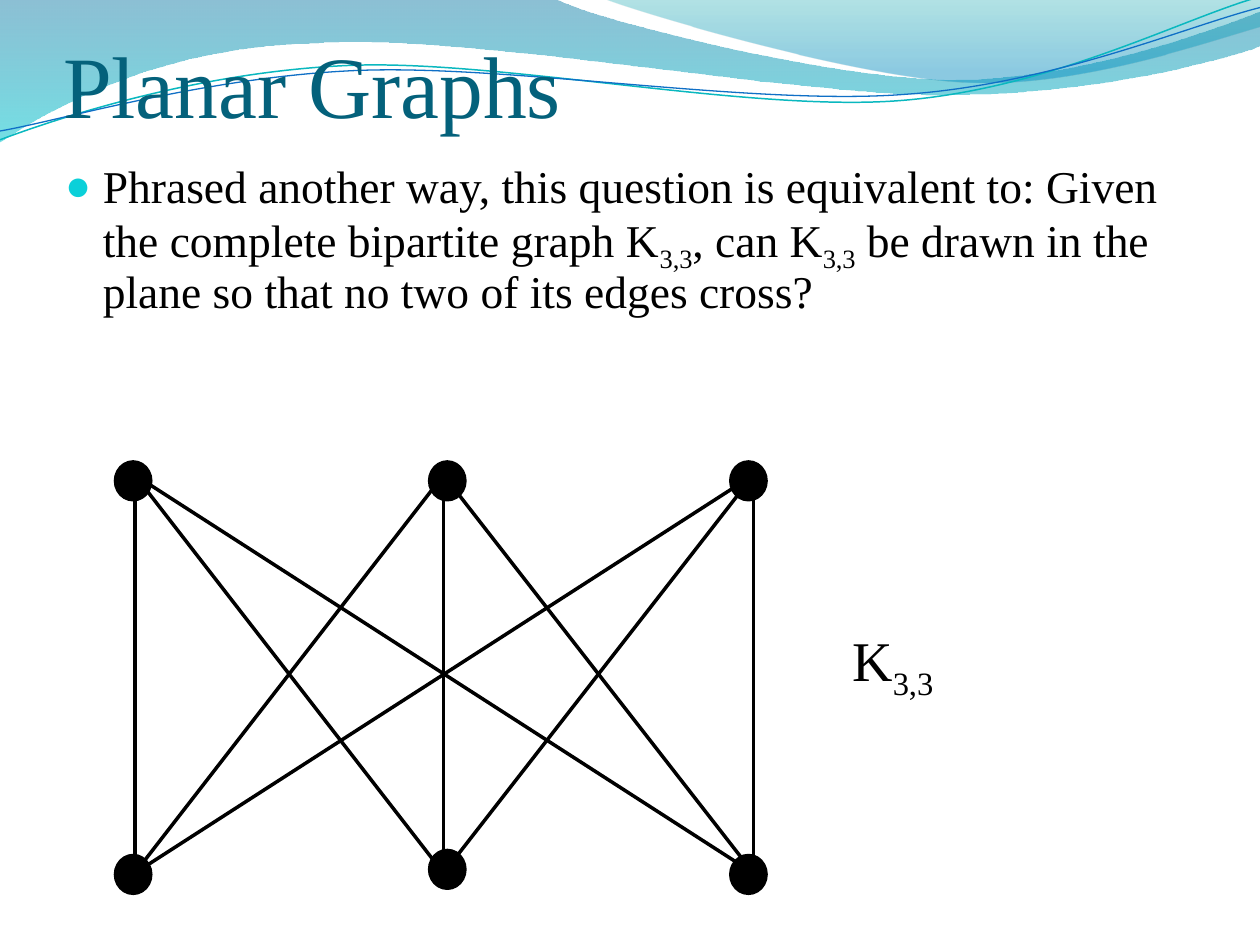
import itertools

import lxml.etree
import pptx
import pptx.dml.color
import pptx.enum.shapes
import pptx.enum.text
import pptx.oxml.ns
import pptx.util

COLORS = {
    "title": "04617B", "ink": "000000", "bullet": "0BD0D9",
    "blue": "0074A1", "cyan": "00C6CF", "teal": "00A1A9", "sky": "008BBF",
    "teal line": "0AB8BF", "blue line": "0F6FC6",
}
FONT = "Times New Roman"

# Outlines in inches: a start point, then lines (x, y) and cubic curves (three points).
BROAD_WAVE = [
    (0, 0), (4.4, -0.01),
    (4.76, 0.17, 6.64, 0.63, 7.58, 0.63), (8.53, 0.63, 9.58, 0.26, 10, 0.09),
    (10.01, 0.36),
    (9.83, 0.44, 8.7, 0.76, 7.46, 0.75), (6.22, 0.75, 3.82, 0.28, 2.57, 0.34),
    (1.29, 0.36, 0.46, 0.83, -0.01, 1.13), (0, 0),
]
RIGHT_WAVE = [
    (4.79, -0.01), (5.09, 0.11, 6.82, 0.62, 7.69, 0.65),
    (8.56, 0.69, 9.61, 0.32, 10, 0.21), (10, 0), (4.79, -0.01),
]
TEAL_STRAND = [
    (0, 1.11), (0.48, 0.93, 1.58, 0.57, 2.77, 0.52),
    (3.95, 0.47, 5.93, 0.89, 7.13, 0.8), (8.33, 0.71, 9.38, 0.15, 9.98, -0.02),
]
BLUE_STRAND = [
    (0, 1.04), (0.47, 0.96, 1.64, 0.61, 2.83, 0.56),
    (4.03, 0.51, 5.97, 0.84, 7.17, 0.75), (8.36, 0.67, 9.41, 0.21, 10, 0.06),
]

EDGE_COLUMNS = (1.07, 3.52, 5.98)
EDGE_TOP, EDGE_BOTTOM = 3.77, 6.93
NODE_LEFTS = (11 / 12, 3.41, 5.8)
NODE_ROWS = ((11 / 3, 11 / 3, 11 / 3), (6.79, 6.75, 6.79))


def rgb(name):
    return pptx.dml.color.RGBColor.from_string(COLORS[name])


def inches(*values):
    return [pptx.util.Inches(value) for value in values]


def add_child(parent, tag, **attributes):
    child = lxml.etree.SubElement(parent, pptx.oxml.ns.qn(tag))
    for key, value in attributes.items():
        child.set(key, value)
    return child


def add_outline(page, outline, close):
    """Draw an outline through all its points, then bend the curved parts."""
    points = [inches(*segment[i:i + 2])
              for segment in outline for i in range(0, len(segment), 2)]
    builder = page.shapes.build_freeform(*points[0])
    builder.add_line_segments(points[1:], close=close)
    shape = builder.convert_to_shape()
    shape.shadow.inherit = False
    lines = iter(list(shape.element.iter(pptx.oxml.ns.qn("a:lnTo"))))
    for segment in outline[1:]:
        line = next(lines)
        if len(segment) == 6:
            curve = lxml.etree.Element(pptx.oxml.ns.qn("a:cubicBezTo"))
            line.addprevious(curve)
            for part in (line, next(lines), next(lines)):
                curve.append(part[0])
                part.getparent().remove(part)
    return shape


def add_wave(page, outline, stops):
    """Add a filled wave; each stop is (position, colour, opacity in percent)."""
    wave = add_outline(page, outline, True)
    wave.line.fill.background()
    wave.fill.gradient()
    wave.fill.gradient_angle = 270
    for stop, (position, color, _) in zip(wave.fill.gradient_stops, stops):
        stop.position = position
        stop.color.rgb = rgb(color)
    tints = wave.element.iter(pptx.oxml.ns.qn("a:srgbClr"))
    for tint, (_, _, opacity) in zip(list(tints), stops):
        add_child(tint, "a:alpha", val=str(opacity * 1000))
    return wave


def add_strand(page, outline, color, width):
    strand = add_outline(page, outline, False)
    strand.fill.background()
    strand.line.color.rgb = rgb(color)
    strand.line.width = pptx.util.Pt(width)
    return strand


def move_to_master(master, shapes):
    """Put the shapes at the back of the master, under ids of their own."""
    for index, shape in enumerate(shapes):
        shape.element.nvSpPr.cNvPr.set("id", str(100 + index))
        master.shapes.element.insert(2 + index, shape.element)


def add_edge(page, start, end):
    edge = page.shapes.add_connector(
        pptx.enum.shapes.MSO_CONNECTOR.STRAIGHT, *inches(*start, *end))
    edge.line.color.rgb = rgb("ink")
    edge.line.width = pptx.util.Pt(2)
    add_child(edge.element.spPr, "a:effectLst")


def add_node(page, left, top):
    node = page.shapes.add_shape(
        pptx.enum.shapes.MSO_SHAPE.OVAL, *inches(left, top, 0.28, 0.3))
    node.shadow.inherit = False
    node.fill.solid()
    node.fill.fore_color.rgb = rgb("ink")
    node.line.color.rgb = rgb("ink")
    node.line.width = pptx.util.Pt(2)


def place(box, left, top, width, height):
    box.left, box.top, box.width, box.height = inches(left, top, width, height)
    box.text_frame.auto_size = pptx.enum.text.MSO_AUTO_SIZE.NONE


def set_font(para, size, color):
    para.font.name = FONT
    para.font.size = pptx.util.Pt(size)
    para.font.color.rgb = rgb(color)


def write_with_subscripts(para, *texts):
    """Write the texts in turn, every second one as a subscript."""
    for index, text in enumerate(texts):
        span = para.add_run()
        span.text = text
        if index % 2:
            span.font._element.set("baseline", "-25000")


def fill_title(box):
    place(box, 0.5, 1 / 6, 9, 11 / 12)
    frame = box.text_frame
    frame.margin_left = frame.margin_right = frame.margin_bottom = 0
    frame.margin_top = pptx.util.Inches(0.05)
    frame.vertical_anchor = pptx.enum.text.MSO_ANCHOR.BOTTOM
    frame.text = "Planar Graphs"
    para = frame.paragraphs[0]
    para.alignment = pptx.enum.text.PP_ALIGN.LEFT
    set_font(para, 50, "title")


def fill_question(box):
    place(box, 5 / 12, 1.25, 9.17, 2.17)
    para = box.text_frame.paragraphs[0]
    props = para._p.get_or_add_pPr()
    indent = pptx.util.Inches(0.3)
    props.set("marL", str(indent))
    props.set("indent", str(-indent))
    add_child(add_child(props, "a:buClr"), "a:srgbClr", val=COLORS["bullet"])
    add_child(props, "a:buSzPct", val="95000")
    add_child(props, "a:buChar", char="●")
    para.line_spacing = 0.9
    para.space_before = pptx.util.Pt(0)
    set_font(para, 26, "ink")
    write_with_subscripts(
        para,
        "Phrased another way, this question is equivalent to: "
        "Given the complete bipartite graph K", "3,3", ", can K", "3,3",
        " be drawn in the plane so that no two of its edges cross?")


def add_graph_label(page):
    box = page.shapes.add_textbox(*inches(20 / 3, 59 / 12, 1.08, 0.63))
    box.text_frame.word_wrap = True
    para = box.text_frame.paragraphs[0]
    set_font(para, 32, "ink")
    write_with_subscripts(para, "K", "3,3")


def main():
    deck = pptx.Presentation()
    deck.slide_width, deck.slide_height = inches(10, 7.5)
    page = deck.slides.add_slide(deck.slide_layouts[1])
    move_to_master(deck.slide_master, [
        add_wave(page, BROAD_WAVE, [(0, "blue", 45), (1, "cyan", 55)]),
        add_wave(page, RIGHT_WAVE, [(0, "teal", 30), (0.8, "sky", 45)]),
        add_strand(page, TEAL_STRAND, "teal line", 0.85),
        add_strand(page, BLUE_STRAND, "blue line", 0.75),
    ])
    fill_title(page.shapes.title)
    fill_question(page.placeholders[1])
    add_graph_label(page)
    for upper, lower in itertools.product(EDGE_COLUMNS, repeat=2):
        add_edge(page, (upper, EDGE_TOP), (lower, EDGE_BOTTOM))
    for tops in NODE_ROWS:
        for left, top in zip(NODE_LEFTS, tops):
            add_node(page, left, top)
    deck.save("out.pptx")


if __name__ == "__main__":
    main()
